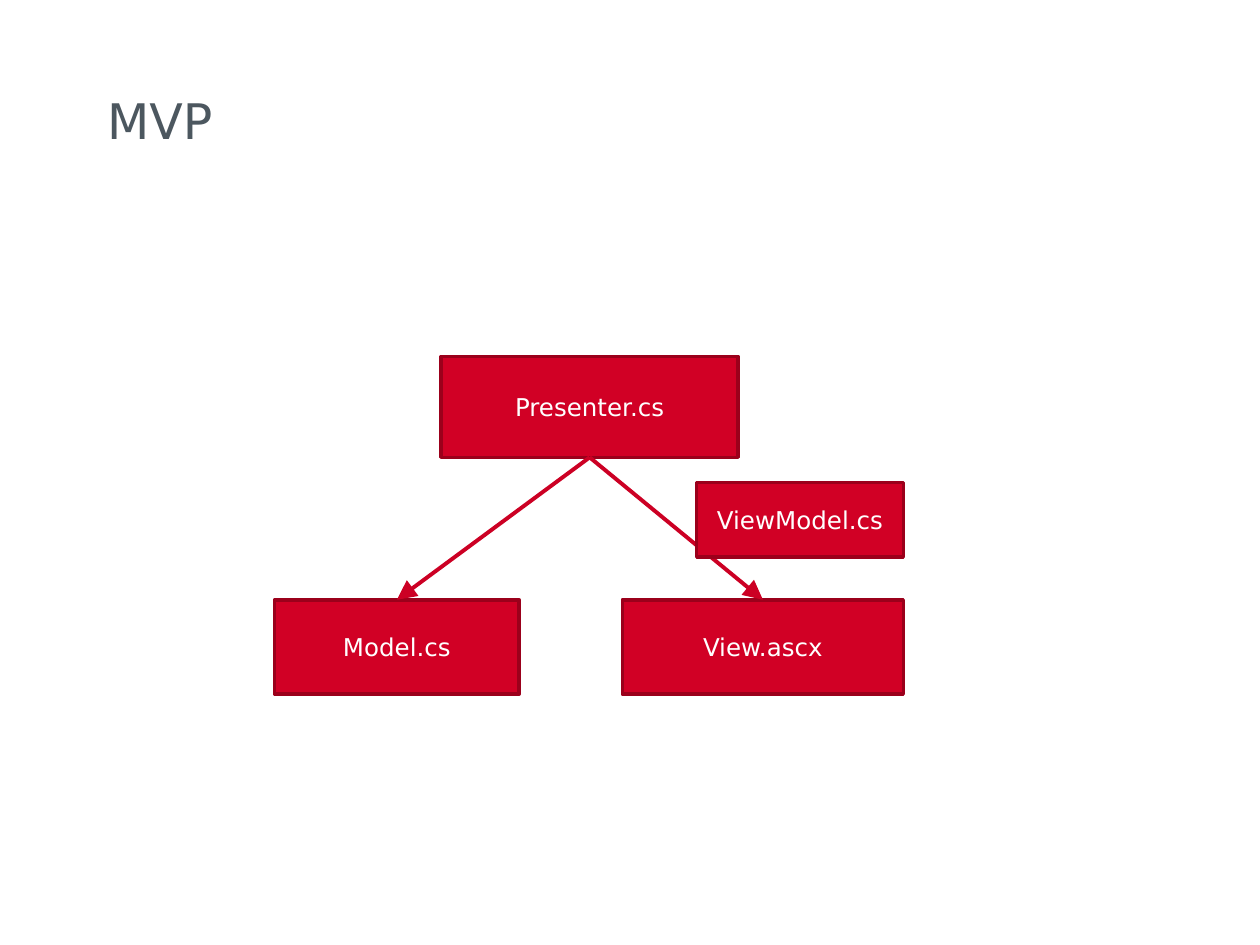
from dataclasses import dataclass

from lxml import etree
from pptx import Presentation
from pptx.dml.color import RGBColor
from pptx.enum import shapes, text
from pptx.oxml import ns
from pptx.util import Inches, Pt

SIZE = (10, 7.5)
TITLE = "MVP"
TITLE_BOX = (0.75, 0.67, 6.67, 1)
# name: left, top, width, height in inches
BOXES = {
    "Presenter.cs": (3.5, 2.83, 2.36, 0.8),
    "Model.cs": (2.18, 4.76, 1.94, 0.75),
    "View.ascx": (4.94, 4.76, 2.23, 0.75),
}
LINKS = [("Presenter.cs", "Model.cs"), ("Presenter.cs", "View.ascx")]
LABEL = ("ViewModel.cs", (5.53, 3.83, 1.64, 0.59))
BOTTOM, TOP = 2, 0  # connection sites of a rectangle


@dataclass(frozen=True)
class Theme:
    """Colours, font and sizes of the slide."""
    font: str = "DejaVu Sans"
    back: str = "BCBCBC"
    page: str = "FFFFFF"
    head: str = "4C575F"
    fill: str = "D10025"
    edge: str = "9B001B"
    link: str = "CC0024"
    white: str = "FFFFFF"
    head_size: float = 28
    box_size: float = 14
    edge_width: float = 2
    link_width: float = 2.25


THEME = Theme()


def paint(fill, code):
    """Give a fill one solid colour."""
    fill.solid()
    fill.fore_color.rgb = RGBColor.from_string(code)


def write(frame, words, size, tone, align, anchor):
    """Put one run of styled text into a frame."""
    frame.word_wrap = True
    frame.auto_size = text.MSO_AUTO_SIZE.NONE
    frame.vertical_anchor = anchor
    para = frame.paragraphs[0]
    para.alignment = align
    run = para.add_run()
    run.text = words
    run.font.name = THEME.font
    run.font.size = Pt(size)
    run.font.color.rgb = RGBColor.from_string(tone)


def add_title(slide):
    """Place and fill the title placeholder."""
    title = slide.shapes.title
    title.left, title.top, title.width, title.height = map(Inches, TITLE_BOX)
    write(title.text_frame, TITLE, THEME.head_size, THEME.head,
          text.PP_ALIGN.LEFT, text.MSO_ANCHOR.TOP)


def add_rect(slide, place, fill):
    """Draw a plain filled rectangle."""
    rect = slide.shapes.add_shape(
        shapes.MSO_SHAPE.RECTANGLE, *map(Inches, place))
    rect.shadow.inherit = False
    paint(rect.fill, fill)
    return rect


def add_page(slide):
    """Lay the white page over the background, behind the title."""
    page = add_rect(slide, (0, 0, *SIZE), THEME.page)
    page.line.fill.background()
    slide.shapes.title.element.addprevious(page.element)


def add_box(slide, name, place):
    """Draw a labelled box."""
    box = add_rect(slide, place, THEME.fill)
    paint(box.line.fill, THEME.edge)
    box.line.width = Pt(THEME.edge_width)
    write(box.text_frame, name, THEME.box_size, THEME.white,
          text.PP_ALIGN.CENTER, text.MSO_ANCHOR.MIDDLE)
    return box


def add_link(slide, start, end):
    """Draw an arrow from the foot of one box to the top of another."""
    link = slide.shapes.add_connector(
        shapes.MSO_CONNECTOR.STRAIGHT, 0, 0, 0, 0)
    link.begin_connect(start, BOTTOM)
    link.end_connect(end, TOP)
    paint(link.line.fill, THEME.link)
    link.line.width = Pt(THEME.link_width)
    props = link.element.spPr
    etree.SubElement(props.find(ns.qn("a:ln")), ns.qn("a:tailEnd"),
                     type="triangle", w="lg", len="lg")
    etree.SubElement(props, ns.qn("a:effectLst"))


def main():
    """Build and save the slide."""
    deck = Presentation()
    deck.slide_width, deck.slide_height = map(Inches, SIZE)
    slide = deck.slides.add_slide(deck.slide_layouts[5])
    paint(slide.background.fill, THEME.back)
    add_page(slide)
    add_title(slide)
    boxes = {name: add_box(slide, name, at) for name, at in BOXES.items()}
    for start, end in LINKS:
        add_link(slide, boxes[start], boxes[end])
    add_box(slide, *LABEL)
    deck.save("out.pptx")


main()
